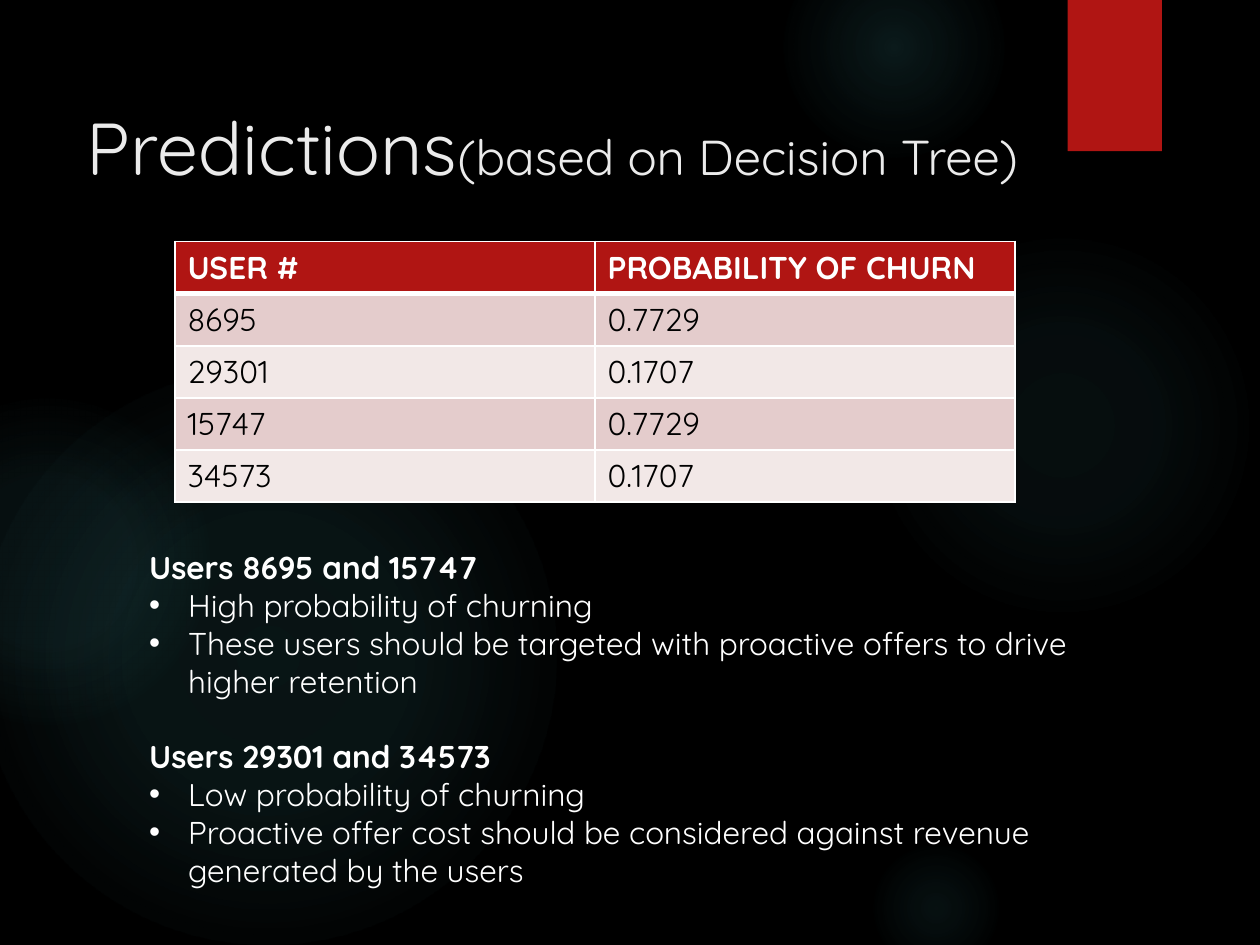
"""Build the churn prediction slide with its table and notes."""
from typing import NamedTuple

from pptx import Presentation
from pptx.dml.color import RGBColor
from pptx.enum.shapes import MSO_SHAPE as Kind
from pptx.enum.text import MSO_ANCHOR as Anchor, MSO_AUTO_SIZE as Fit, PP_ALIGN as Align
from pptx.oxml import parse_xml as to_xml
from pptx.oxml.ns import nsdecls as ns
from pptx.util import Inches, Pt

BLACK = RGBColor(0x00, 0x00, 0x00)
WHITE = RGBColor(0xFF, 0xFF, 0xFF)
PALE = RGBColor(0xEB, 0xEB, 0xEB)
RED = RGBColor(0xB0, 0x15, 0x13)
ROSE = RGBColor(0xE4, 0xCC, 0xCC)
BLUSH = RGBColor(0xF2, 0xE8, 0xE7)
TEAL = RGBColor(0x50, 0xB9, 0xC1)
WIDE, HIGH = Inches(10), Inches(7.5)
COLS, ROWS = 120, 90
FONT = "Quicksand"


class Box(NamedTuple):
    left: float
    top: float
    width: float
    height: float


class Glow(NamedTuple):
    left: float
    top: float
    size: float
    core: int
    mid: int
    edge: int


class Note(NamedTuple):
    head: str
    items: tuple


GLOWS = (
    Glow(82.67, 22, 37, 7, 6, 69),
    Glow(74.67, -6, 21, 14, 7, 73),
    Glow(82.67, 80, 13, 9, 5, 66),
    Glow(-2, 35, 55, 11, 10, 75),
    Glow(-11, 38, 31, 8, 8, 72),
)
DATA = (
    ("USER #", "PROBABILITY OF CHURN"),
    ("8695", "0.7729"),
    ("29301", "0.1707"),
    ("15747", "0.7729"),
    ("34573", "0.1707"),
)
NOTES = (
    Note("Users 8695 and 15747", (
        "High probability of churning",
        "These users should be targeted with proactive offers to drive higher retention")),
    Note("Users 29301 and 34573", (
        "Low probability of churning",
        "Proactive offer cost should be considered against revenue generated by the users")),
)
TAG = Box(101.67, 0, 9, 14.4)
TITLE = Box(7.08, 7.44, 105.6, 11.28)
TABLE = Box(16.67, 23, 80, 24.4)
BODY = Box(13, 51.6, 94, 34)


def place(box: Box) -> dict:
    """Turn grid columns and rows into slide lengths."""
    spans = (WIDE / COLS, HIGH / ROWS) * 2
    return {key: round(val * span) for (key, val), span in zip(box._asdict().items(), spans)}


def apply(obj, form: dict) -> None:
    """Set each attribute in the format."""
    for key, val in form.items():
        setattr(obj, key, val)


def write(para, text: str, size: int, color: RGBColor, bold: bool = False) -> None:
    """Add one formatted run."""
    run = para.add_run()
    run.text = text
    apply(run.font, {"name": FONT, "size": Pt(size), "bold": bold})
    run.font.color.rgb = color


def add_shape(slide, kind: Kind, box: Box, color: RGBColor):
    """Add a plain shape with no line or shadow."""
    shape = slide.shapes.add_shape(kind, **place(box))
    shape.shadow.inherit = False
    shape.fill.solid()
    shape.fill.fore_color.rgb = color
    shape.line.fill.background()
    return shape


def add_glow(slide, glow: Glow) -> None:
    """Add a circle that fades towards its edge."""
    shape = add_shape(slide, Kind.OVAL, Box(glow.left, glow.top, glow.size, glow.size), TEAL)
    stops = "".join(
        f'<a:gs pos="{pos * 1000}"><a:srgbClr val="{TEAL}">'
        f'<a:alpha val="{alpha * 1000}"/></a:srgbClr></a:gs>'
        for pos, alpha in ((0, glow.core), (36, glow.mid), (glow.edge, 0)))
    props = shape._element.spPr
    old = props.find("{*}solidFill")
    props.replace(old, to_xml(
        f'<a:gradFill {ns("a")} rotWithShape="1"><a:gsLst>{stops}</a:gsLst><a:path path="circle">'
        '<a:fillToRect l="50000" t="50000" r="50000" b="50000"/></a:path></a:gradFill>'))


def add_title(slide) -> None:
    """Fill the title placeholder."""
    title = slide.shapes.title
    apply(title, place(TITLE))
    frame = title.text_frame
    apply(frame, {"vertical_anchor": Anchor.BOTTOM, "word_wrap": True, "auto_size": Fit.NONE})
    para = frame.paragraphs[0]
    para.alignment = Align.LEFT
    write(para, "Predictions", 42, PALE)
    write(para, "(based on Decision Tree)", 28, PALE)


def set_edges(cell, base: int) -> None:
    """Draw white borders, with the bottom one as wide as asked."""
    props = cell._tc.get_or_add_tcPr()
    for spot, (side, width) in enumerate(zip("LRTB", (1, 1, 1, base))):
        props.insert(spot, to_xml(
            f'<a:ln{side} {ns("a")} w="{Pt(width)}"><a:solidFill>'
            f'<a:srgbClr val="{WHITE}"/></a:solidFill></a:ln{side}>'))


def add_grid(slide) -> None:
    """Add the table of users and churn odds."""
    area = place(TABLE)
    table = slide.shapes.add_table(len(DATA), len(DATA[0]), **area).table
    for row, texts in enumerate(DATA):
        table.rows[row].height = area["height"] // len(DATA)
        head = row == 0
        for col, text in enumerate(texts):
            cell = table.cell(row, col)
            cell.fill.solid()
            cell.fill.fore_color.rgb = RED if head else (BLUSH, ROSE)[row % 2]
            write(cell.text_frame.paragraphs[0], text, 18, WHITE if head else BLACK, head)
            set_edges(cell, 3 if head else 1)


def add_line(frame, text: str, item: bool, gap: float) -> None:
    """Add one heading or bulleted line to the body."""
    last = frame.paragraphs[-1]
    para = frame.add_paragraph() if last.runs else last
    apply(para, {"alignment": Align.LEFT, "space_before": Pt(gap), "space_after": Pt(0)})
    props = para._p.get_or_add_pPr()
    dent = Inches(0.31) if item else 0
    props.set("marL", str(dent))
    props.set("indent", str(-dent))
    if item:
        props.append(to_xml(f'<a:buFont {ns("a")} typeface="Arial"/>'))
        props.append(to_xml(f'<a:buChar {ns("a")} char="•"/>'))
    else:
        props.append(to_xml(f'<a:buNone {ns("a")}/>'))
    write(para, text, 18, WHITE, not item)


def add_notes(slide, body) -> None:
    """Fill the body placeholder with both groups of advice."""
    apply(body, place(BODY))
    frame = body.text_frame
    apply(frame, {"vertical_anchor": Anchor.TOP, "word_wrap": True, "auto_size": Fit.NONE})
    for spot, note in enumerate(NOTES):
        add_line(frame, note.head, False, 21.6 * spot)
        for item in note.items:
            add_line(frame, item, True, 0)


def main() -> None:
    """Build and save the slide."""
    deck = Presentation()
    apply(deck, {"slide_width": WIDE, "slide_height": HIGH})
    slide = deck.slides.add_slide(deck.slide_layouts[1])
    slide.background.fill.solid()
    slide.background.fill.fore_color.rgb = BLACK
    body = slide.placeholders[1]
    tree = slide.shapes._spTree
    for glow in GLOWS:
        add_glow(slide, glow)
    add_shape(slide, Kind.RECTANGLE, TAG, RED)
    add_title(slide)
    tree.append(slide.shapes.title._element)
    add_grid(slide)
    add_notes(slide, body)
    tree.append(body._element)
    deck.save("out.pptx")


if __name__ == "__main__":
    main()
